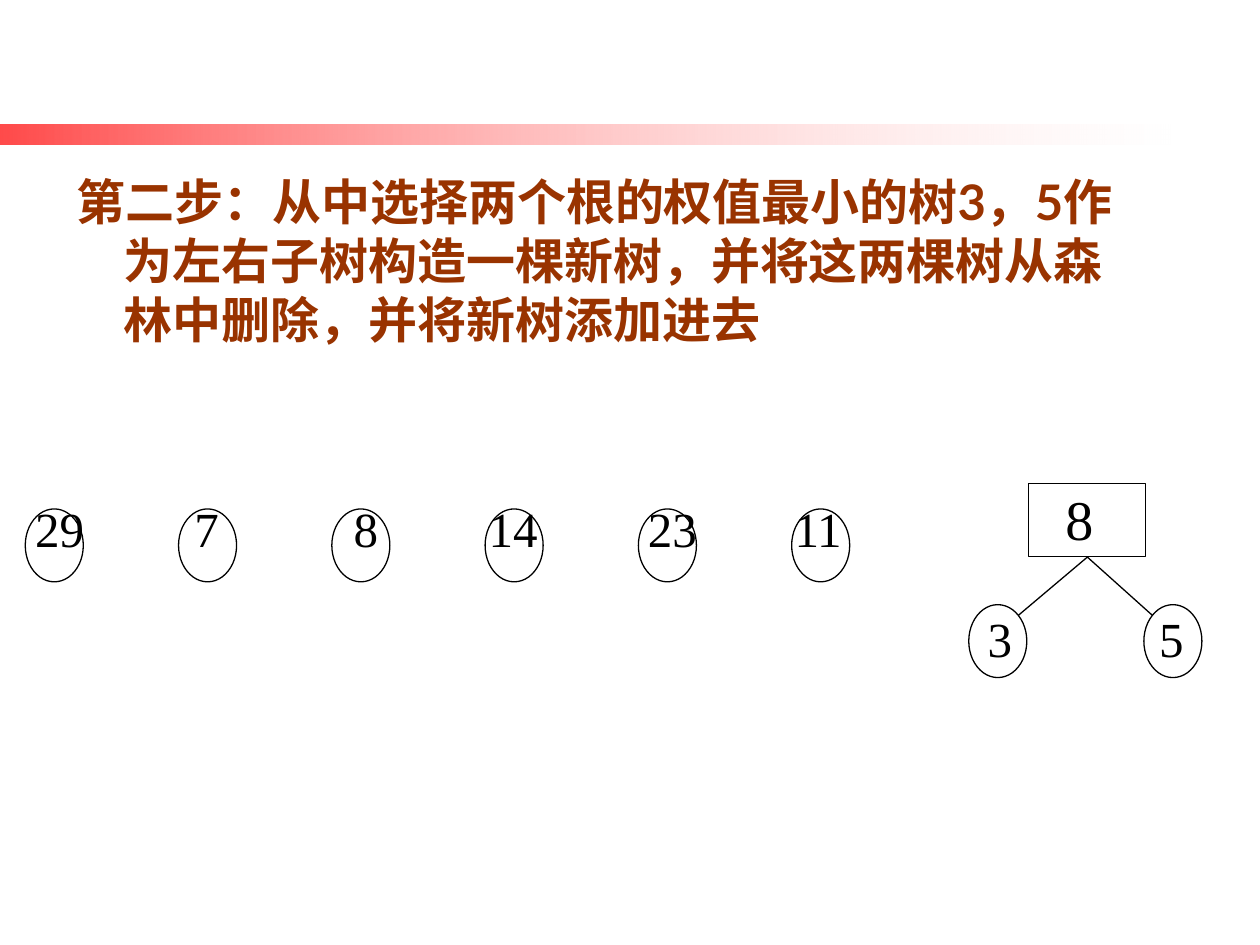
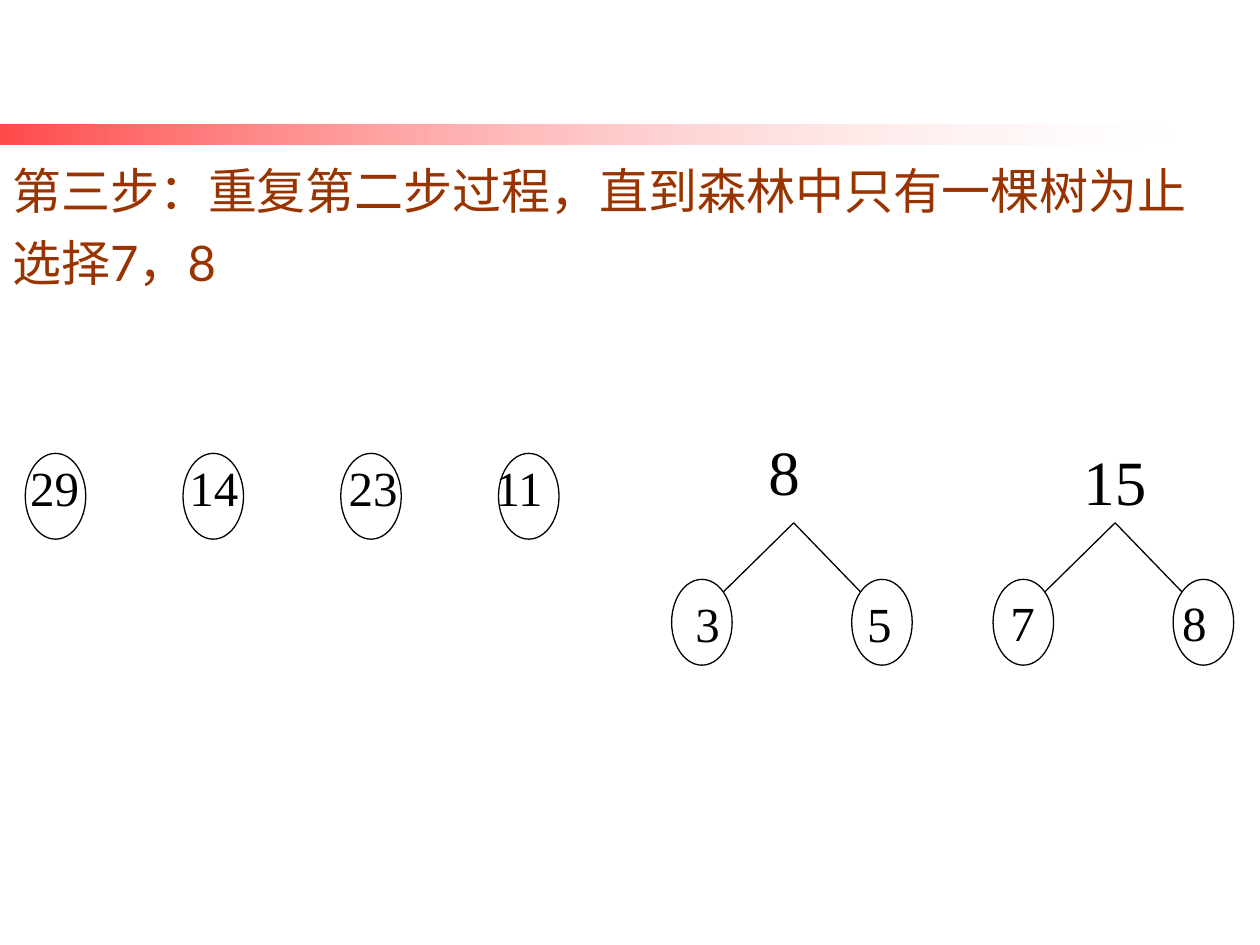
from dataclasses import dataclass
from math import sqrt
from typing import Optional, Sequence

from lxml import etree
from pptx import Presentation, util as u
from pptx.dml.color import RGBColor
from pptx.enum import shapes, text
from pptx.oxml import ns
from pptx.slide import Slide


@dataclass(frozen=True)
class Theme:
    ink: str = "000000"
    heading: str = "993300"
    band_red: str = "FF0000"
    band_white: str = "FFFFFF"
    heading_font: str = "Lato"
    label_font: str = "Times New Roman"
    body_size: int = 28
    line_width: float = 0.75


THEME = Theme()
CORNER = (1 - 1 / sqrt(2)) / 2  # inset of an ellipse's diagonal point


@dataclass(frozen=True)
class Box:
    """A rectangle in centimetres."""
    left: float
    top: float
    width: float
    height: float

    def lengths(self) -> tuple:
        return tuple(u.Cm(v) for v in (self.left, self.top, self.width, self.height))


@dataclass(frozen=True)
class Labels:
    """Weights written on one line, each after the first at a tab stop."""
    weights: Sequence[str]
    box: Box
    stops: Sequence[float] = ()
    size: int = THEME.body_size


@dataclass(frozen=True)
class Forest:
    """A row of single-node trees."""
    first: Box
    pitch: float
    labels: Labels


@dataclass(frozen=True)
class Tree:
    """A root with two leaves."""
    left_leaf: Box
    spread: float
    apex_x: float
    apex_y: float
    root: Labels
    leaves: Labels
    root_frame: Optional[Box] = None


@dataclass(frozen=True)
class Step:
    heading: Sequence[str]
    heading_box: Box
    bold: bool
    forest: Forest
    trees: Sequence[Tree]


# Drawing helpers
def add_text(slide: Slide, box: Box, lines: Sequence[str], *, font: str, size: int,
             color: str, bold: bool = False, hanging: float = 0, space_before: float = 0,
             line_spacing: float = 1.0, stops: Sequence[float] = ()) -> None:
    frame = slide.shapes.add_textbox(*box.lengths()).text_frame
    frame.word_wrap = True
    frame.vertical_anchor = text.MSO_ANCHOR.TOP
    for index, line in enumerate(lines):
        paragraph = frame.paragraphs[0] if index == 0 else frame.add_paragraph()
        paragraph.line_spacing = line_spacing
        if index:
            paragraph.space_before = u.Pt(space_before)
        properties = paragraph._p.get_or_add_pPr()
        if hanging:
            properties.set("marL", str(u.Cm(hanging)))
            properties.set("indent", str(-u.Cm(hanging)))
        if stops:
            tab_list = etree.SubElement(properties, ns.qn("a:tabLst"))
            for stop in stops:
                etree.SubElement(tab_list, ns.qn("a:tab"), pos=str(u.Cm(stop)), algn="l")
        run = paragraph.add_run()
        run.text = line
        run.font.name = font
        run.font.size = u.Pt(size)
        run.font.bold = bold
        run.font.color.rgb = RGBColor.from_string(color)


def add_outline(slide: Slide, kind: shapes.MSO_SHAPE, box: Box) -> None:
    outline = slide.shapes.add_shape(kind, *box.lengths())
    outline.shadow.inherit = False
    outline.fill.background()
    outline.line.color.rgb = RGBColor.from_string(THEME.ink)
    outline.line.width = u.Pt(THEME.line_width)


def add_edge(slide: Slide, x1: float, y1: float, x2: float, y2: float) -> None:
    edge = slide.shapes.add_connector(
        shapes.MSO_CONNECTOR.STRAIGHT, u.Cm(x1), u.Cm(y1), u.Cm(x2), u.Cm(y2))
    edge.line.color.rgb = RGBColor.from_string(THEME.ink)
    edge.line.width = u.Pt(THEME.line_width)
    etree.SubElement(edge._element.spPr, ns.qn("a:effectLst"))


def add_band(slide: Slide) -> None:
    band = slide.shapes.add_shape(
        shapes.MSO_SHAPE.RECTANGLE, *Box(0, 2.51, 23.6, 0.41).lengths())
    band.shadow.inherit = False
    band.line.fill.background()
    band.fill.gradient()
    band.fill.gradient_angle = 180
    tints = ((THEME.band_white, 18), (THEME.band_red, 71))
    for stop, (color, opacity) in zip(band.fill.gradient_stops, tints):
        stop.color.rgb = RGBColor.from_string(color)
    for node, (color, opacity) in zip(band._element.spPr.iter(ns.qn("a:srgbClr")), tints):
        etree.SubElement(node, ns.qn("a:alpha"), val=str(opacity * 1000))


def add_nodes(slide: Slide, first: Box, pitch: float, count: int) -> None:
    for index in range(count):
        add_outline(slide, shapes.MSO_SHAPE.OVAL,
                    Box(first.left + index * pitch, first.top, first.width, first.height))


def add_labels(slide: Slide, labels: Labels) -> None:
    add_text(slide, labels.box, ["\t".join(labels.weights)], font=THEME.label_font,
             size=labels.size, color=THEME.ink, line_spacing=0.8, stops=labels.stops)


def add_forest(slide: Slide, forest: Forest) -> None:
    add_labels(slide, forest.labels)
    add_nodes(slide, forest.first, forest.pitch, len(forest.labels.weights))


def add_tree(slide: Slide, tree: Tree) -> None:
    leaf = tree.left_leaf
    add_labels(slide, tree.leaves)
    add_labels(slide, tree.root)
    add_nodes(slide, leaf, tree.spread, 2)
    if tree.root_frame:
        add_outline(slide, shapes.MSO_SHAPE.RECTANGLE, tree.root_frame)
    edge_y = leaf.top + CORNER * leaf.height
    for edge_x in (leaf.left + (1 - CORNER) * leaf.width,
                   leaf.left + tree.spread + CORNER * leaf.width):
        add_edge(slide, tree.apex_x, tree.apex_y, edge_x, edge_y)


def add_step(deck, step: Step) -> None:
    slide = deck.slides.add_slide(deck.slide_layouts[6])
    add_band(slide)
    add_text(slide, step.heading_box, step.heading, font=THEME.heading_font,
             size=THEME.body_size, color=THEME.heading, bold=step.bold,
             hanging=0.95, space_before=7)
    add_forest(slide, step.forest)
    for tree in step.trees:
        add_tree(slide, tree)


# Content
LEAF_STOPS = (3.46,)

SECOND_STEP = Step(
    heading=["第二步：从中选择两个根的权值最小的树3，5作为左右子树构造一棵新树，"
             "并将这两棵树从森林中删除，并将新树添加进去"],
    heading_box=Box(1.3, 3.33, 21.59, 3.84),
    bold=True,
    forest=Forest(
        Box(0.51, 10.26, 1.17, 1.47), 3.09,
        Labels(("29", "7", "8", "14", "23", "11"), Box(0.46, 10.16, 17.96, 1.83),
               (3.21, 6.42, 9.14, 12.35, 15.31))),
    trees=[Tree(
        Box(19.53, 12.19, 1.17, 1.47), 3.53, 21.92, 11.23,
        root=Labels(("8",), Box(21.23, 9.91, 1.85, 2.16), size=32),
        leaves=Labels(("3", "5"), Box(19.66, 12.37, 5.54, 1.83), LEAF_STOPS),
        root_frame=Box(20.73, 9.75, 2.36, 1.47))],
)

THIRD_STEP = Step(
    heading=["第三步：重复第二步过程，直到森林中只有一棵树为止", "选择7，8"],
    heading_box=Box(0, 3.12, 24.89, 3.99),
    bold=False,
    forest=Forest(
        Box(0.51, 9.14, 1.22, 1.73), 3.18,
        Labels(("29", "14", "23", "11"), Box(0.36, 9.32, 12.78, 2.16),
               (3.21, 6.42, 9.38))),
    trees=[
        Tree(Box(20.02, 11.68, 1.22, 1.73), 3.63, 22.48, 10.54,
             root=Labels(("15",), Box(21.59, 9.09, 2.67, 2.54), size=36),
             leaves=Labels(("7", "8"), Box(20.12, 12.04, 5.2, 2.16), LEAF_STOPS)),
        Tree(Box(13.54, 11.68, 1.22, 1.73), 3.63, 16, 10.54,
             root=Labels(("8",), Box(15.24, 8.89, 1.88, 2.54), size=36),
             leaves=Labels(("3", "5"), Box(13.77, 12.07, 5.66, 2.16), LEAF_STOPS)),
    ],
)


def main() -> None:
    deck = Presentation()
    deck.slide_width, deck.slide_height = u.Cm(25.4), u.Cm(19.05)
    for step in (SECOND_STEP, THIRD_STEP):
        add_step(deck, step)
    deck.save("out.pptx")


if __name__ == "__main__":
    main()
